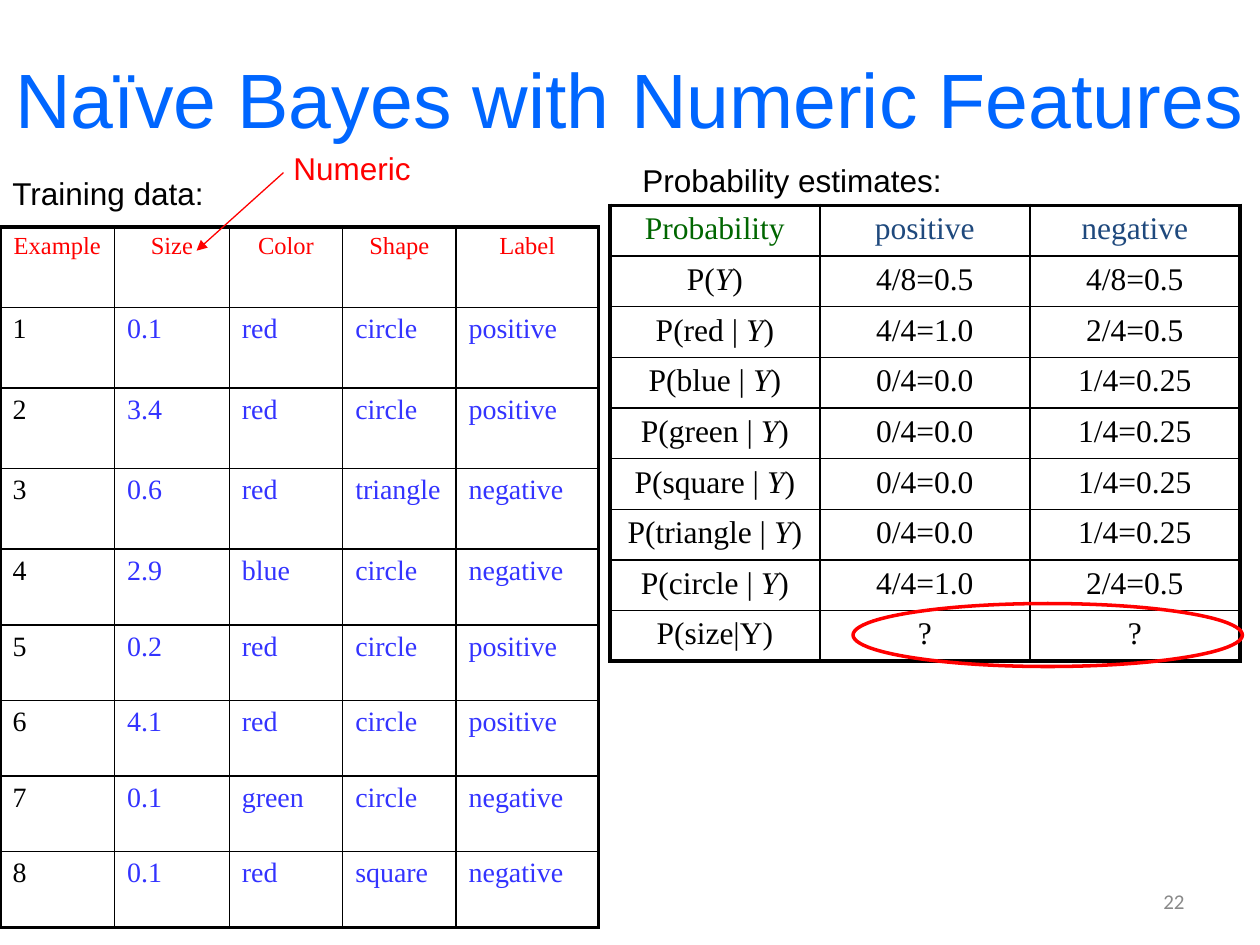
from dataclasses import dataclass

from lxml import etree
from pptx import Presentation
from pptx.dml.color import RGBColor
from pptx.enum.shapes import MSO_CONNECTOR, MSO_SHAPE
from pptx.enum.text import MSO_ANCHOR, PP_ALIGN
from pptx.oxml.ns import qn
from pptx.util import Inches, Pt

BLACK, RED, BLUE = "000000", "FF0000", "3333FF"
GREEN, NAVY, TITLE_BLUE, GRAY = "006600", "1F497D", "0066FF", "898989"
SERIF, SANS = "Times New Roman", "Arial"
THICK, THIN = 2.25, 1


@dataclass
class Span:
    text: str
    size: float
    color: str
    font: str = SERIF
    italic: bool = False


@dataclass
class Cell:
    spans: list[Span]
    align: PP_ALIGN = PP_ALIGN.CENTER


@dataclass
class Label:
    left: float
    top: float
    width: float
    height: float
    span: Span
    align: PP_ALIGN = PP_ALIGN.LEFT
    anchor: MSO_ANCHOR = MSO_ANCHOR.TOP
    wrap: bool = False


@dataclass
class Grid:
    left: float
    top: float
    widths: list[float]
    heights: list[float]
    rows: list[list[Cell]]


def rgb(color: str) -> RGBColor:
    return RGBColor.from_string(color)


def write(para, spans: list[Span], align: PP_ALIGN) -> None:
    para.alignment = align
    for span in spans:
        run = para.add_run()
        run.text = span.text
        run.font.name = span.font
        run.font.size = Pt(span.size)
        run.font.italic = span.italic
        run.font.color.rgb = rgb(span.color)


def add_label(page, label: Label) -> None:
    box = page.shapes.add_textbox(Inches(label.left), Inches(label.top),
                                  Inches(label.width), Inches(label.height))
    frame = box.text_frame
    frame.word_wrap = label.wrap
    frame.vertical_anchor = label.anchor
    write(frame.paragraphs[0], [label.span], label.align)


def set_border(cell, side: str, points: float) -> None:
    line = etree.SubElement(cell._tc.get_or_add_tcPr(), qn(f"a:ln{side}"), w=str(Pt(points)))
    fill = etree.SubElement(line, qn("a:solidFill"))
    etree.SubElement(fill, qn("a:srgbClr"), val=BLACK)


def add_grid(page, grid: Grid) -> None:
    """Draw a table with a thick outer frame and thin inner rules."""
    last_row, last_column = len(grid.heights) - 1, len(grid.widths) - 1
    table = page.shapes.add_table(
        last_row + 1, last_column + 1, Inches(grid.left), Inches(grid.top),
        Inches(sum(grid.widths)), Inches(sum(grid.heights))).table
    table.first_row = table.horz_banding = False
    for column, width in zip(table.columns, grid.widths):
        column.width = Inches(width)
    for row, height in zip(table.rows, grid.heights):
        row.height = Inches(height)
    for r, row in enumerate(grid.rows):
        for c, content in enumerate(row):
            cell = table.cell(r, c)
            write(cell.text_frame.paragraphs[0], content.spans, content.align)
            outer = {"L": c == 0, "R": c == last_column, "T": r == 0, "B": r == last_row}
            for side, is_outer in outer.items():
                set_border(cell, side, THICK if is_outer else THIN)
            cell.fill.background()


def add_arrow(page, start: tuple[float, float], end: tuple[float, float]) -> None:
    arrow = page.shapes.add_connector(MSO_CONNECTOR.STRAIGHT, *map(Inches, start + end))
    arrow.line.color.rgb = rgb(RED)
    arrow.line.width = Pt(0.75)
    etree.SubElement(arrow.line._get_or_add_ln(), qn("a:tailEnd"), type="triangle")
    etree.SubElement(arrow._element.spPr, qn("a:effectLst"))


def add_ring(page, left: float, top: float, width: float, height: float) -> None:
    ring = page.shapes.add_shape(MSO_SHAPE.OVAL, Inches(left), Inches(top),
                                 Inches(width), Inches(height))
    ring.shadow.inherit = False
    ring.fill.background()
    ring.line.color.rgb = rgb(RED)
    ring.line.width = Pt(2)


def training_row(values: tuple[str, ...]) -> list[Cell]:
    return [Cell([Span(value, 16, BLUE if c else BLACK)], PP_ALIGN.LEFT)
            for c, value in enumerate(values)]


def estimate_row(event: str, *values: str) -> list[Cell]:
    """Set the class variable Y in italics after the given event."""
    name = [Span(f"P({event}", 18, BLACK), Span("Y", 18, BLACK, italic=True),
            Span(")", 18, BLACK)]
    return [Cell(name)] + [Cell([Span(value, 18, BLACK)]) for value in values]


EXAMPLES = [
    ("1", "0.1", "red", "circle", "positive"),
    ("2", "3.4", "red", "circle", "positive"),
    ("3", "0.6", "red", "triangle", "negative"),
    ("4", "2.9", "blue", "circle", "negative"),
    ("5", "0.2", "red", "circle", "positive"),
    ("6", "4.1", "red", "circle", "positive"),
    ("7", "0.1", "green", "circle", "negative"),
    ("8", "0.1", "red", "square", "negative"),
]
ESTIMATES = [
    ("", "4/8=0.5", "4/8=0.5"),
    ("red | ", "4/4=1.0", "2/4=0.5"),
    ("blue | ", "0/4=0.0", "1/4=0.25"),
    ("green | ", "0/4=0.0", "1/4=0.25"),
    ("square | ", "0/4=0.0", "1/4=0.25"),
    ("triangle | ", "0/4=0.0", "1/4=0.25"),
    ("circle | ", "4/4=1.0", "2/4=0.5"),
]
TRAINING_HEADER = [Cell([Span(name, 14, RED)])
                   for name in ("Example", "Size", "Color", "Shape", "Label")]
ESTIMATE_HEADER = [Cell([Span(name, 18, color)]) for name, color in
                   (("Probability", GREEN), ("positive", NAVY), ("negative", NAVY))]
SIZE_ROW = [Cell([Span(text, 18, BLACK)]) for text in ("P(size|Y)", "?", "?")]

GRIDS = [
    Grid(4.84, 1.63, [5 / 3] * 3, [3.62 / 9] * 9,
         [ESTIMATE_HEADER, *(estimate_row(*row) for row in ESTIMATES), SIZE_ROW]),
    Grid(0, 1.8, [0.91, 0.91, 0.9, 0.9, 1.13], [0.64] * 4 + [0.6] * 5,
         [TRAINING_HEADER, *map(training_row, EXAMPLES)]),
]
LABELS = [
    Label(7.17, 6.95, 2.33, 0.4, Span("22", 12, GRAY, "Calibri"),
          PP_ALIGN.RIGHT, MSO_ANCHOR.MIDDLE, True),
    Label(0, 0.15, 10, 1.25, Span("Naïve Bayes with Numeric Features", 44, TITLE_BLUE, SANS),
          PP_ALIGN.CENTER, MSO_ANCHOR.MIDDLE, True),
    Label(0, 1.33, 1.74, 0.4, Span("Training data:", 18, BLACK, SANS)),
    Label(5, 1.23, 2.6, 0.4, Span("Probability estimates:", 18, BLACK, SANS)),
    Label(2.23, 1.13, 1.14, 0.4, Span("Numeric", 18, RED, SANS)),
]


def main() -> None:
    deck = Presentation()
    deck.slide_width, deck.slide_height = Inches(10), Inches(7.5)
    page = deck.slides.add_slide(deck.slide_layouts[6])
    for grid in GRIDS:
        add_grid(page, grid)
    for label in LABELS:
        add_label(page, label)
    add_arrow(page, (2.25, 1.37), (1.56, 1.99))
    add_ring(page, 6.77, 4.79, 3.09, 0.5)
    deck.save("out.pptx")


if __name__ == "__main__":
    main()
